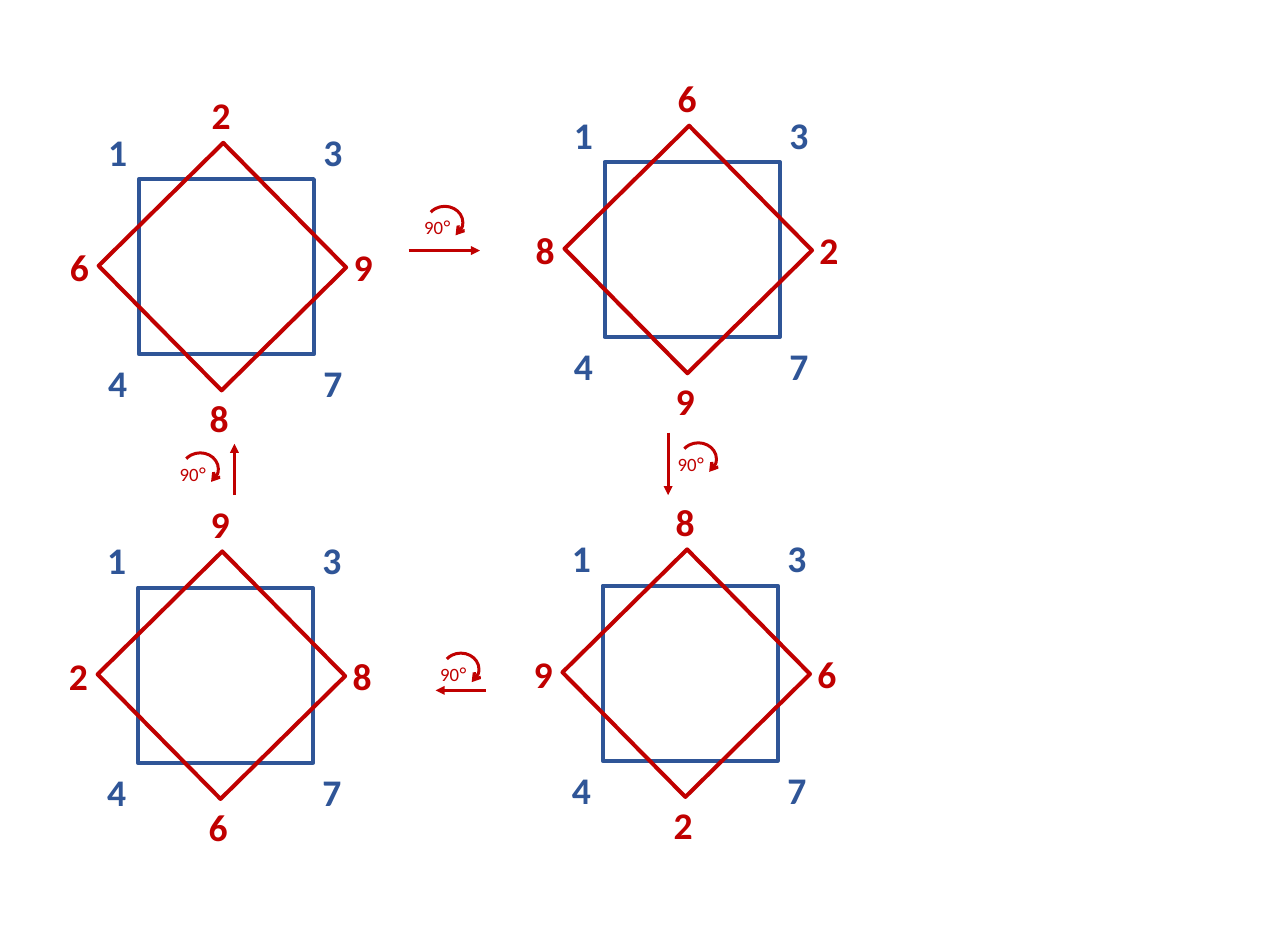
from pptx import Presentation
from pptx.dml.color import RGBColor
from pptx.enum.shapes import MSO_CONNECTOR, MSO_SHAPE
from pptx.oxml.ns import qn
from pptx.util import Emu, Pt
from lxml.etree import SubElement

COLORS = {"blue": "2F5597", "red": "C00000"}
SIDE = 174
CORNERS = "1347"    # top left, top right, bottom left, bottom right
TIPS = "2986"       # clockwise from the top


def px(n):
    return Emu(round(n * 9525))


def color(name):
    return RGBColor.from_string(COLORS[name])


def set_line(shape, name, width, head=None):
    shape.line.color.rgb = color(name)
    shape.line.width = Pt(width)
    if head:
        ln = shape._element.spPr.find(qn("a:ln"))
        SubElement(ln, qn("a:tailEnd"), type=head)


def add_outline(group, kind, x, y, w, h, name, width, head=None):
    sp = group.shapes.add_shape(kind, px(x), px(y), px(w), px(h))
    sp.fill.background()
    sp.shadow.inherit = False
    set_line(sp, name, width, head)
    return sp


def add_label(group, x, y, w, h, text, name, size, bold=False):
    tf = group.shapes.add_textbox(px(x), px(y), px(w), px(h)).text_frame
    tf.word_wrap = False
    p = tf.paragraphs[0]
    p.font.size, p.font.bold = Pt(size), bold
    p.font.color.rgb = color(name)
    for char_group in text:
        r = p.add_run()
        r.text = char_group
        r.font.name = "Lato" if char_group == "°" else "Calibri"


def add_star(s, x, y, side, tips):
    """Fixed blue square and turned red square, with numbered corners."""
    group = s.shapes.add_group_shape()

    # Blue square and its corners
    add_outline(group, MSO_SHAPE.RECTANGLE, x, y, side, side, "blue", 3)
    for i, digit in enumerate(CORNERS):
        row, col = divmod(i, 2)
        add_label(group, x - 40 + col * (side + 40), y - 55 + row * (side + 56),
                  40, 55, [digit], "blue", 28, True)

    # Red square and its tips
    diamond = add_outline(group, MSO_SHAPE.RECTANGLE, x - 4, y, side, side, "red", 3)
    diamond.rotation = 45.4
    mid = side // 2
    places = [(mid - 24, -91), (side + 30, mid - 27),
              (mid - 26, side + 36), (-78, mid - 27)]
    for digit, (dx, dy) in zip(tips, places):
        add_label(group, x + dx, y + dy, 40, 55, [digit], "red", 28, True)


def add_turn(s, x, y, start, end):
    """Quarter-turn mark; the arrow's ends are offsets from the mark's corner."""
    group = s.shapes.add_group_shape()
    arrow = group.shapes.add_connector(
        MSO_CONNECTOR.STRAIGHT, px(x + start[0]), px(y + start[1]),
        px(x + end[0]), px(y + end[1]))
    set_line(arrow, "red", 2.25, "triangle")
    SubElement(arrow._element.spPr, qn("a:effectLst"))

    arc = add_outline(group, MSO_SHAPE.ARC, x + 12, y, 36, 32, "red", 2.25, "arrow")
    arc.adjustments[0], arc.adjustments[1] = 129.73, 29.96
    add_label(group, x, y + 5, 47, 33, ["90", "°"], "red", 14)


def main():
    prs = Presentation()
    prs.slide_width, prs.slide_height = px(1280), px(945)
    s = prs.slides.add_slide(prs.slide_layouts[6])

    # Stars, clockwise: each turn moves the last tip to the top
    stars = [(138, 178), (601, 161), (599, 582), (137, 584)]
    for turn, (x, y) in enumerate(stars):
        cut = len(TIPS) - turn
        add_star(s, x, y, SIDE, TIPS[cut:] + TIPS[:cut])

    # Turns between the stars
    add_turn(s, 412, 205, (-6, 44), (65, 44))
    add_turn(s, 664, 440, (0, -10), (0, 52))
    add_turn(s, 428, 649, (55, 37), (5, 37))
    add_turn(s, 169, 450, (64, 42), (64, -9))

    prs.save("out.pptx")


if __name__ == "__main__":
    main()
